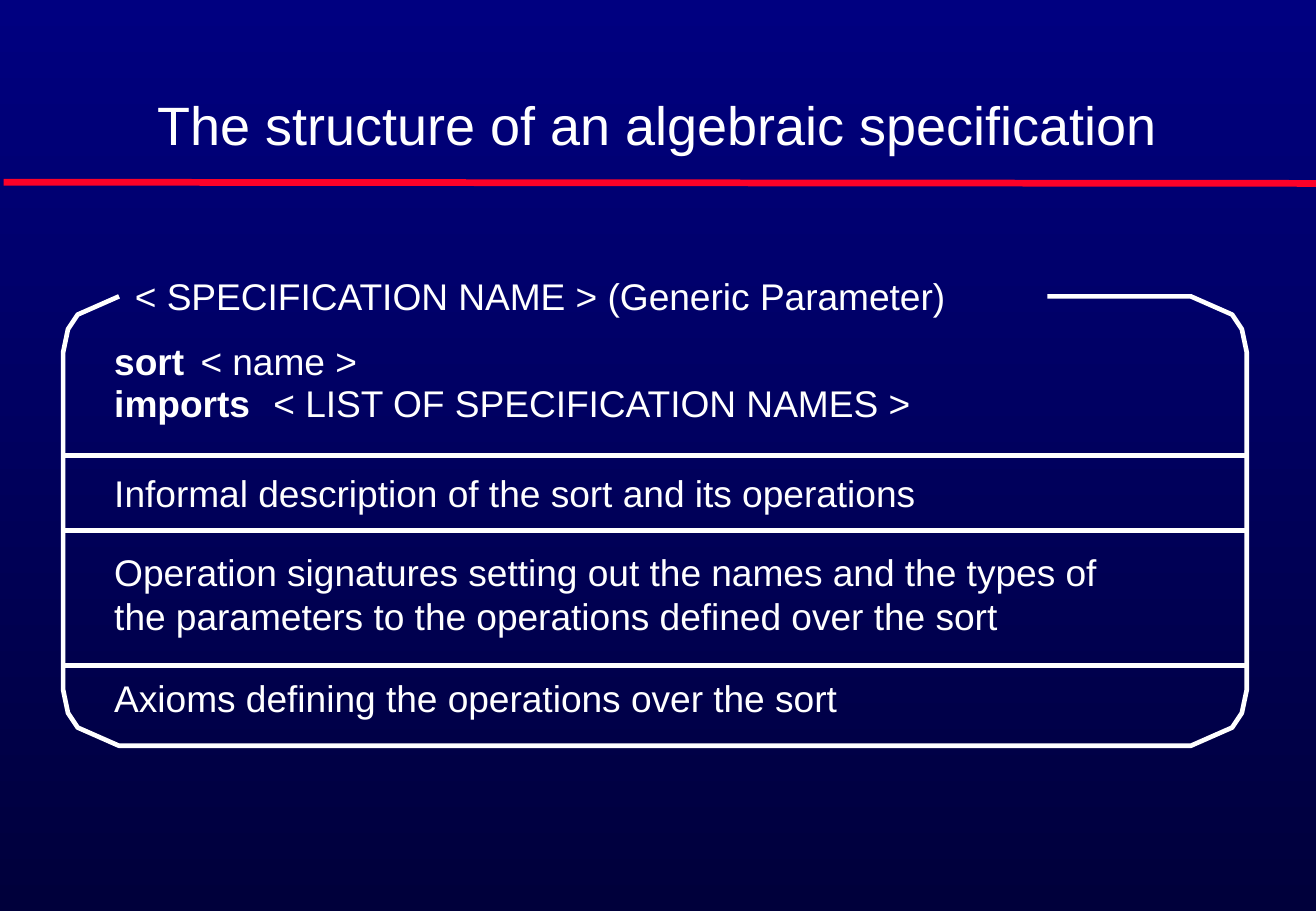
from lxml.etree import SubElement
from pptx import Presentation
from pptx.dml.color import RGBColor
from pptx.enum.shapes import MSO_CONNECTOR
from pptx.enum.text import MSO_ANCHOR, PP_ALIGN
from pptx.oxml.ns import qn
from pptx.util import Inches, Pt

WHITE = RGBColor(0xFF, 0xFF, 0xFF)
RED = RGBColor(0xFC, 0x01, 0x28)
NAVY = RGBColor(0x00, 0x00, 0x80)
DARK_NAVY = RGBColor(0x00, 0x00, 0x3B)
FONT = "Arial"
BODY_SIZE = 22
FRAME_WIDTH = 2.75
LINE_HEIGHT = 0.37

# Points of a cut corner, measured from the corner of the frame's box
CORNER = [(0.46, 0), (0.12, 0.15), (0.04, 0.27), (0, 0.46)]
HEADING_END = 8.10  # where the frame resumes to the right of its heading
DIVIDERS = [1.31, 1.93, 3.04]

# Left and top within the frame, text, bold
FRAME_TEXTS = [
    (0.59, -0.19, "< SPECIFICATION NAME > (Generic Parameter)", False),
    (0.42, 0.35, "sort", True),
    (1.13, 0.35, "< name >", False),
    (0.42, 0.69, "imports", True),
    (1.73, 0.69, "< LIST OF SPECIFICATION NAMES >", False),
    (0.42, 1.43, "Informal description of the sort and its operations", False),
    (0.42, 2.08, "Operation signatures setting out the names and the types of\v"
                 "the parameters to the operations defined over the sort", False),
    (0.42, 3.12, "Axioms defining the operations over the sort", False),
]


def add_background(slide):
    """Fill the slide with a gradient that darkens downwards."""
    fill = slide.background.fill
    fill.gradient()
    fill.gradient_angle = 270
    for stop, color in zip(fill.gradient_stops, (NAVY, DARK_NAVY)):
        stop.color.rgb = color


def add_line(slide, start, end, color, width):
    """Draw a straight line without shadow between two points in inches."""
    line = slide.shapes.add_connector(
        MSO_CONNECTOR.STRAIGHT, *(Inches(value) for value in (*start, *end)))
    line.line.color.rgb = color
    line.line.width = Pt(width)
    SubElement(line._element.spPr, qn("a:effectLst"))


def add_text(slide, box, text, size=BODY_SIZE, bold=False):
    """Add white text without margins and return its text frame."""
    frame = slide.shapes.add_textbox(*(Inches(value) for value in box)).text_frame
    frame.margin_left = frame.margin_right = 0
    frame.margin_top = frame.margin_bottom = 0
    frame.word_wrap = False
    frame.text = text
    font = frame.paragraphs[0].font
    font.name, font.size, font.bold = FONT, Pt(size), bold
    font.color.rgb = WHITE
    return frame


def add_title(slide, box, title):
    """Place the centred title at the bottom of its box, with the red rule below."""
    left, top, width, height = box
    frame = add_text(slide, (left, top, width, height - 0.05), title, size=32)
    frame.word_wrap = True
    frame.vertical_anchor = MSO_ANCHOR.BOTTOM
    frame.paragraphs[0].alignment = PP_ALIGN.CENTER
    rule = top + height + 0.16
    add_line(slide, (0.03, rule), (10.83, rule + 0.01), RED, 4)


def add_outline(slide, box):
    """Draw the frame with cut corners, open where the heading stands."""
    left, top, width, height = box
    right, bottom = left + width, top + height
    points = [(left + HEADING_END, top)]
    points += [(right - x, top + y) for x, y in CORNER]
    points += [(right - x, bottom - y) for x, y in reversed(CORNER)]
    points += [(left + x, bottom - y) for x, y in CORNER]
    points += [(left + x, top + y) for x, y in reversed(CORNER)]
    start, *others = [(Inches(x), Inches(y)) for x, y in points]
    builder = slide.shapes.build_freeform(*start)
    builder.add_line_segments(others, close=False)
    outline = builder.convert_to_shape()
    outline.shadow.inherit = False
    outline.fill.background()
    outline.line.color.rgb = WHITE
    outline.line.width = Pt(FRAME_WIDTH)


def add_specification(slide, box):
    """Build the specification frame with its sections and texts."""
    left, top, width, _ = box
    for offset in DIVIDERS:
        add_line(slide, (left, top + offset), (left + width, top + offset),
                 WHITE, FRAME_WIDTH)
    add_outline(slide, box)
    for x, y, text, bold in FRAME_TEXTS:
        height = LINE_HEIGHT * (text.count("\v") + 1)
        add_text(slide, (left + x, top + y, width - x - 0.4, height), text, bold=bold)


presentation = Presentation()
presentation.slide_width = Inches(10.83)
presentation.slide_height = Inches(7.5)
slide = presentation.slides.add_slide(presentation.slide_layouts[6])
add_background(slide)
add_title(slide, (0.79, 0.34, 9.25, 1), "The structure of an algebraic specification")
add_specification(slide, (0.52, 2.44, 9.74, 3.7))
presentation.save("out.pptx")
